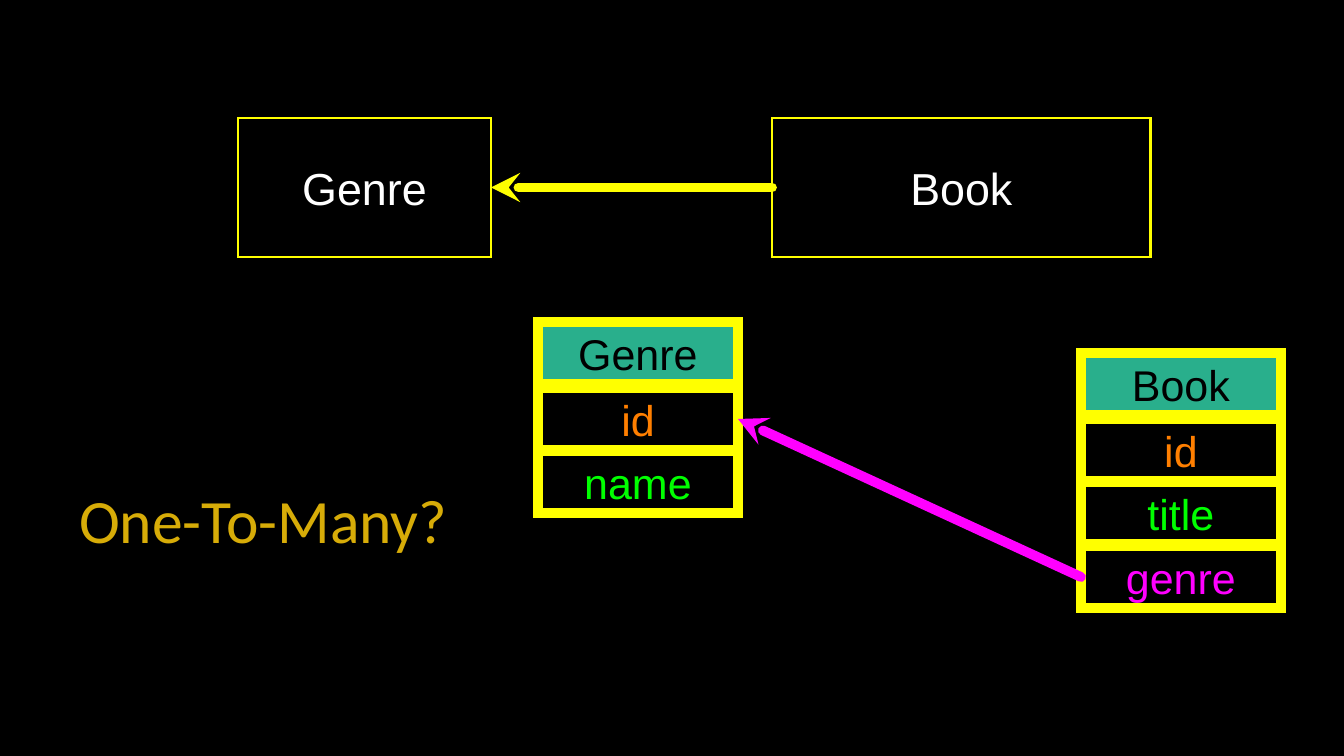
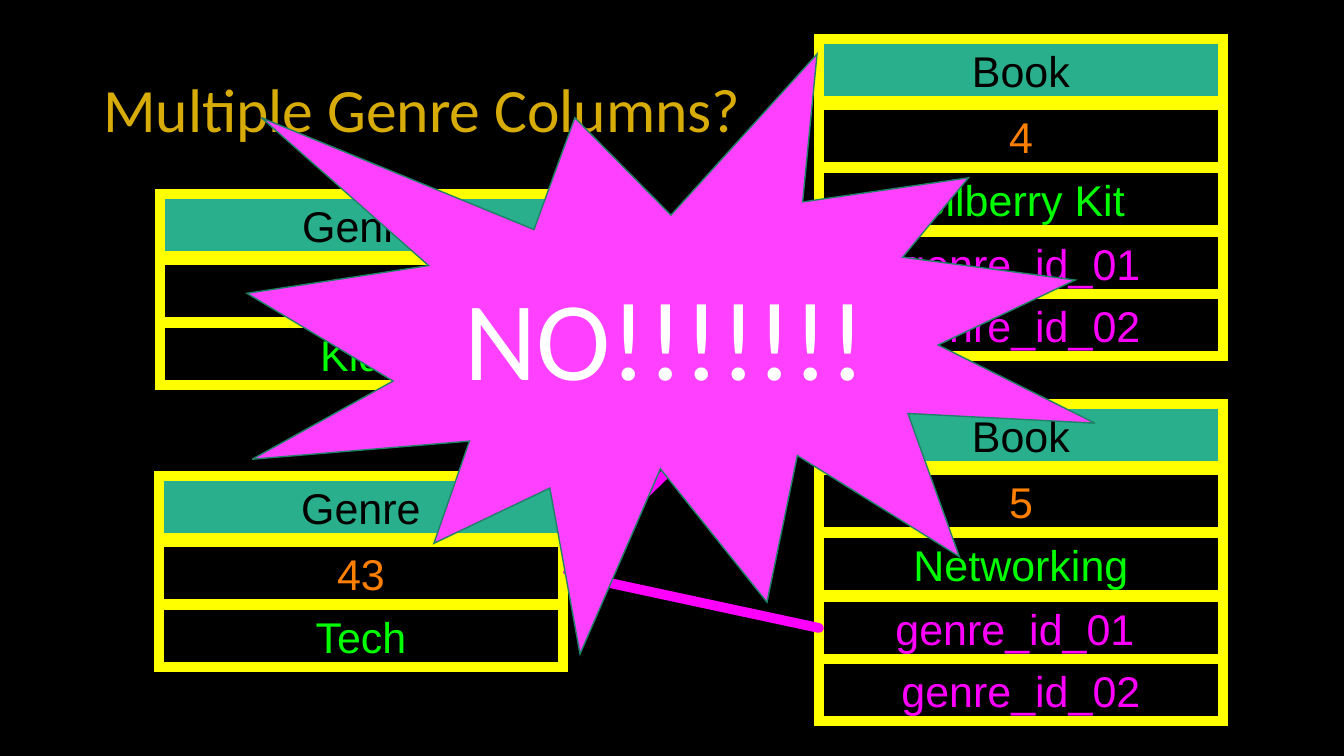
import pptx
import pptx.util
import pptx.dml.color
import pptx.enum.shapes
import pptx.enum.text
import pptx.oxml.ns
import lxml.etree

SHAPE = pptx.enum.shapes.MSO_SHAPE
ALIGN = pptx.enum.text.PP_ALIGN
MIDDLE = pptx.enum.text.MSO_ANCHOR.MIDDLE

# Colours
BLACK, WHITE, YELLOW, PINK = "000000", "FFFFFF", "FFFF00", "FF00FF"
GOLD, TEAL, ORANGE, GREEN = "D7AC08", "29AF8C", "FF7F00", "00FF00"

# Content: frames are left, top, width, height; tables are left, top, rows
SLIDES = [
    {
        "title": ("One-To-Many?", (69, 451, 446, 146)),
        "models": [("Genre", (238, 118, 253, 139)),
                   ("Book", (772, 118, 379, 139))],
        "width": 200,
        "tables": {
            "genre": (538, 322, ["Genre", "id", "name"]),
            "book": (1081, 353, ["Book", "id", "title", "genre"]),
        },
        "links": [("genre", "book", 3)],
    },
    {
        "title": ("Multiple Genre Columns?", (93, 40, 1159, 146)),
        "width": 404,
        "tables": {
            "berry": (819, 39, ["Book", "4", "Bilberry Kit",
                                "genre_id_01", "genre_id_02"]),
            "net": (819, 404, ["Book", "5", "Networking",
                               "genre_id_01 ", "genre_id_02"]),
            "tech": (159, 476, ["Genre", "43", "Tech"]),
            "kids": (160, 194, ["Genre", "42", "Kids"]),
        },
        "links": [("tech", "net", 3), ("tech", "berry", 4),
                  ("kids", "berry", 3)],
        "burst": ("NO!!!!!!!", (247, 54, 848, 600)),
    },
]

# Table rows: offset from the table's top, fill, text colour
ROWS = [(0, TEAL, BLACK), (66, None, ORANGE), (129, None, GREEN),
        (193, None, PINK), (255, None, PINK)]
ROW_H = 62
KEY = 1
THICK, THIN = 7, 2

FRAME = {"vertical_anchor": MIDDLE, "word_wrap": True,
         "auto_size": pptx.enum.text.MSO_AUTO_SIZE.NONE}
FLUSH = dict.fromkeys(
    ["margin_left", "margin_top", "margin_right", "margin_bottom"], 0)


def px(n):
    return pptx.util.Emu(round(n * 914400 / 100.8))


def rgb(code):
    return pptx.dml.color.RGBColor.from_string(code)


def put(item, values):
    for name, value in values.items():
        setattr(item, name, value)


def add(node, tag, **attrs):
    return lxml.etree.SubElement(node, pptx.oxml.ns.qn(tag), attrs)


def write(shape, text, font, size, color, align=ALIGN.CENTER, **extra):
    frame = shape.text_frame
    put(frame, {**FRAME, **extra})
    frame.text = text
    para = frame.paragraphs[0]
    para.alignment = align
    run = para.runs[0].font
    put(run, {"name": font, "size": pptx.util.Pt(size)})
    run.color.rgb = rgb(color)
    return para


def stroke(item, color, weight):
    item.line.color.rgb = rgb(color)
    item.line.width = pptx.util.Pt(weight)
    return item.line._get_or_add_ln()


def draw(slide, kind, spot, fill, line, weight):
    shape = slide.shapes.add_shape(kind, *map(px, spot))
    shape.shadow.inherit = False
    if fill:
        shape.fill.solid()
        shape.fill.fore_color.rgb = rgb(fill)
    else:
        shape.fill.background()
    add(stroke(shape, line, weight), "a:miter", lim="800000")
    return shape


def box(slide, text, spot, fill, color, size, weight):
    shape = draw(slide, SHAPE.RECTANGLE, spot, fill, YELLOW, weight)
    write(shape, text, "Arial", size, color, **FLUSH)


def arrow(slide, tip, tail, color):
    line = slide.shapes.add_connector(
        pptx.enum.shapes.MSO_CONNECTOR.STRAIGHT, *map(px, tip + tail))
    edge = stroke(line, color, THICK)
    edge.set("cap", "rnd")
    add(edge, "a:round")
    add(edge, "a:headEnd", type="stealth")
    add(line._element.spPr, "a:effectLst")


def table(slide, left, top, width, names):
    for name, (drop, fill, color) in zip(names, ROWS):
        box(slide, name, (left, top + drop, width, ROW_H),
            fill, color, 30.7, THICK)


def middle(top, row):
    return top + ROWS[row][0] + ROW_H / 2


def build(deck, data):
    slide = deck.slides.add_slide(deck.slide_layouts.get_by_name("Title Only"))

    # Title
    text, spot = data["title"]
    title = slide.shapes.title
    put(title, dict(zip(("left", "top", "width", "height"), map(px, spot))))
    para = write(title, text, "Calibri", 44, GOLD, ALIGN.LEFT)
    para.line_spacing = 0.9

    # Model boxes, the second pointing at the first
    models = data.get("models", [])
    for name, spot in models:
        box(slide, name, spot, None, WHITE, 32, THIN)
    if models:
        (x, y, w, h), (end, *_) = [spot for _, spot in models]
        arrow(slide, (x + w, y + h / 2), (end, y + h / 2), YELLOW)

    # Tables and the links from book rows to genre keys
    width, tables = data["width"], data["tables"]
    for left, top, names in tables.values():
        table(slide, left, top, width, names)
    for genre, book, row in data["links"]:
        (left, top, _), (end, base, _) = tables[genre], tables[book]
        arrow(slide, (left + width, middle(top, KEY)),
              (end, middle(base, row)), PINK)

    # Burst
    if "burst" in data:
        text, spot = data["burst"]
        burst = draw(slide, SHAPE.EXPLOSION1, spot, "FF40FF", "1E8168", 1)
        write(burst, text, "Calibri", 80, WHITE)


deck = pptx.Presentation()
put(deck, {"slide_width": px(1344), "slide_height": px(756)})
back = deck.slide_master.background.fill
back.solid()
back.fore_color.rgb = rgb(BLACK)
for data in SLIDES:
    build(deck, data)
deck.save("out.pptx")
